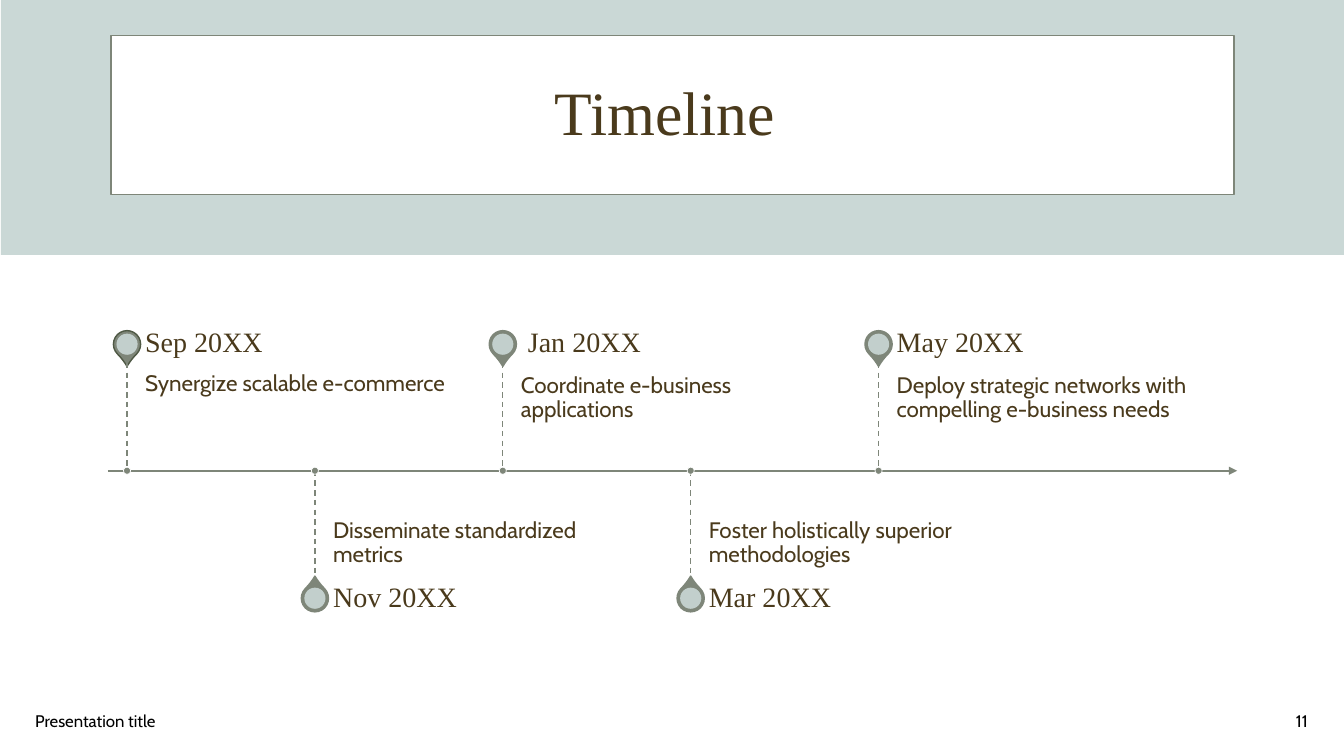
from lxml import etree
from pptx import Presentation
from pptx.dml.color import RGBColor
from pptx.enum.dml import MSO_LINE
from pptx.enum.shapes import MSO_CONNECTOR, MSO_SHAPE
from pptx.enum.text import MSO_ANCHOR, PP_ALIGN
from pptx.oxml.ns import qn
from pptx.util import Inches, Pt

TITLE = "Timeline "
FOOTER = "Presentation title"
PAGE = "11"
MILESTONES = [
    ("Sep 20XX", "Synergize scalable e-commerce"),
    ("Nov 20XX", "Disseminate standardized metrics"),
    (" Jan 20XX", "Coordinate e-business applications"),
    ("Mar 20XX", "Foster holistically superior methodologies"),
    ("May 20XX", "Deploy strategic networks with compelling e-business needs"),
]

MINT = RGBColor(0xCA, 0xD8, 0xD6)
SAGE = RGBColor(0x7E, 0x86, 0x79)
DARK_SAGE = RGBColor(0x4F, 0x59, 0x45)
BROWN = RGBColor(0x4A, 0x3A, 0x1C)
WHITE = RGBColor(0xFF, 0xFF, 0xFF)
BLACK = RGBColor(0, 0, 0)
SERIF = "Times New Roman"
SANS = "Cabin"

RECTANGLE, OVAL, TEARDROP = MSO_SHAPE.RECTANGLE, MSO_SHAPE.OVAL, MSO_SHAPE.TEAR
STRAIGHT, DASH = MSO_CONNECTOR.STRAIGHT, MSO_LINE.DASH
TOP, MIDDLE, BOTTOM = MSO_ANCHOR.TOP, MSO_ANCHOR.MIDDLE, MSO_ANCHOR.BOTTOM
LEFT, CENTER, RIGHT = PP_ALIGN.LEFT, PP_ALIGN.CENTER, PP_ALIGN.RIGHT

AXIS_Y, AXIS_LEFT, AXIS_RIGHT = 4.67, 1.07, 12.27
FIRST_X, STEP = 1.26, 1.8635
PIN, PIN_CENTER, DOT = 0.27, 0.21, 0.07
TEXT_OFFSET, TEXT_WIDTH = 0.18, 3.1
DATE_HEIGHT, DETAIL_HEIGHT = 0.38, 1.07


def add_panel(shapes, kind, box, fill, line=None, width=1):
    panel = shapes.add_shape(kind, *map(Inches, box))
    panel.shadow.inherit = False
    panel.fill.solid()
    panel.fill.fore_color.rgb = fill
    if line is None:
        panel.line.fill.background()
    else:
        panel.line.color.rgb = line
        panel.line.width = Pt(width)
    return panel


def add_centered(shapes, kind, x, y, size, fill, line=None, width=1):
    box = (x - size / 2, y - size / 2, size, size)
    return add_panel(shapes, kind, box, fill, line, width)


def add_rule(shapes, start, end, width):
    rule = shapes.add_connector(STRAIGHT, *map(Inches, start + end))
    rule.line.color.rgb = SAGE
    rule.line.width = Pt(width)
    etree.SubElement(rule._element.spPr, qn("a:effectLst"))
    return rule


def format_text(holder, text, font, size, color, anchor=MIDDLE, align=LEFT,
                insets=(0.1, 0.05, 0.1, 0.05), spacing=0.9):
    frame = holder.text_frame
    frame.text = text
    frame.word_wrap = True
    frame.vertical_anchor = anchor
    (frame.margin_left, frame.margin_top,
     frame.margin_right, frame.margin_bottom) = map(Inches, insets)
    paragraph = frame.paragraphs[0]
    paragraph.alignment = align
    paragraph.line_spacing = spacing
    run_font = paragraph.runs[0].font
    run_font.name, run_font.size, run_font.color.rgb = font, Pt(size), color


def add_text(shapes, box, *args, **options):
    format_text(shapes.add_textbox(*map(Inches, box)), *args, **options)


def add_milestone(shapes, index, date, detail):
    above = index % 2 == 0
    x = FIRST_X + index * STEP
    text_x = x + TEXT_OFFSET
    if above:
        pin_y, date_y, detail_y = 3.415, 3.22, AXIS_Y - DETAIL_HEIGHT
        stem_end, rotation = 3.6, 135
        anchor, insets = TOP, (0, 0.11, 0.11, 0.17)
    else:
        pin_y, date_y, detail_y = 5.935, 5.75, AXIS_Y
        stem_end, rotation = 5.75, 315
        anchor, insets = BOTTOM, (0, 0.17, 0, 0.11)

    outline = DARK_SAGE if index == 0 else SAGE
    pin = add_centered(shapes, TEARDROP, x, pin_y, PIN, SAGE, outline)
    pin.adjustments[0] = 1.15
    pin.rotation = rotation
    center = add_centered(shapes, OVAL, x, pin_y, PIN_CENTER, MINT)
    color = center._element.spPr.find(qn("a:solidFill"))[0]
    etree.SubElement(color, qn("a:alpha"), val="90000")

    add_text(shapes, (text_x, detail_y, TEXT_WIDTH, DETAIL_HEIGHT), detail,
             SANS, 16, BROWN, anchor, insets=insets)
    add_text(shapes, (text_x, date_y, TEXT_WIDTH, DATE_HEIGHT), date,
             SERIF, 20, BROWN, insets=(0, 0, 0.14, 0))
    ends = sorted([AXIS_Y, stem_end])
    stem = add_rule(shapes, (x, ends[0]), (x, ends[1]), 1)
    stem.line.dash_style = DASH
    add_centered(shapes, OVAL, x, AXIS_Y, DOT, SAGE, WHITE, 0.5)


def main():
    """Build the timeline slide."""
    deck = Presentation()
    deck.slide_width, deck.slide_height = Inches(13.33), Inches(7.5)
    slide = deck.slides.add_slide(deck.slide_layouts[5])
    shapes = slide.shapes

    add_panel(shapes, RECTANGLE, (0.01, 0, 13.32, 2.53), MINT)
    add_panel(shapes, RECTANGLE, (1.1, 0.35, 11.14, 1.58), WHITE, SAGE)
    title = shapes.title
    title.left, title.top, title.width, title.height = map(
        Inches, (0.42, 0.42, 12.5, 1.45))
    format_text(title, TITLE, SERIF, 44, BROWN, align=CENTER)
    shapes._spTree.append(title._element)

    add_text(shapes, (0.25, 6.95, 4.5, 0.4), FOOTER, SANS, 12, BLACK, spacing=1.0)
    add_text(shapes, (10.07, 6.95, 3, 0.4), PAGE, SANS, 12, BLACK,
             align=RIGHT, spacing=1.0)

    axis = add_rule(shapes, (AXIS_LEFT, AXIS_Y), (AXIS_RIGHT, AXIS_Y), 1.5)
    etree.SubElement(axis.line._get_or_add_ln(), qn("a:tailEnd"), type="triangle")
    for index, (date, detail) in enumerate(MILESTONES):
        add_milestone(shapes, index, date, detail)

    deck.save("out.pptx")


if __name__ == "__main__":
    main()
